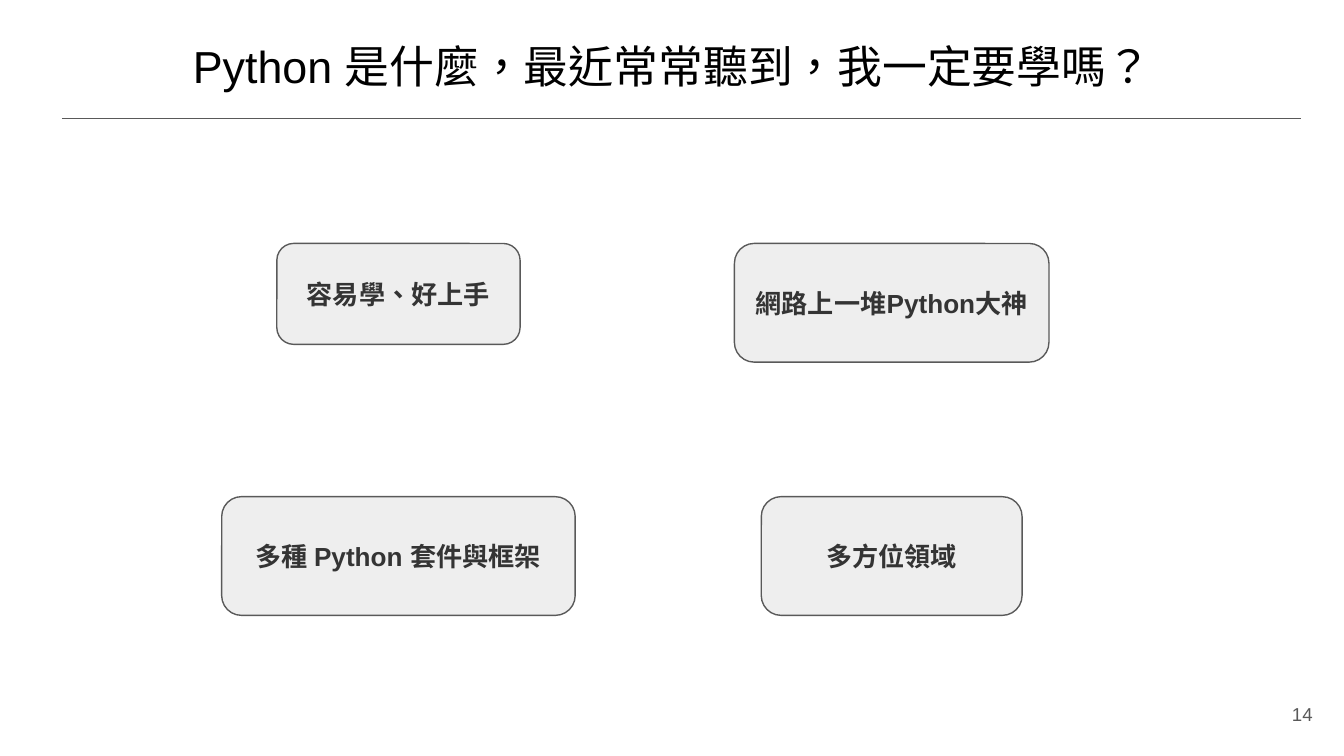
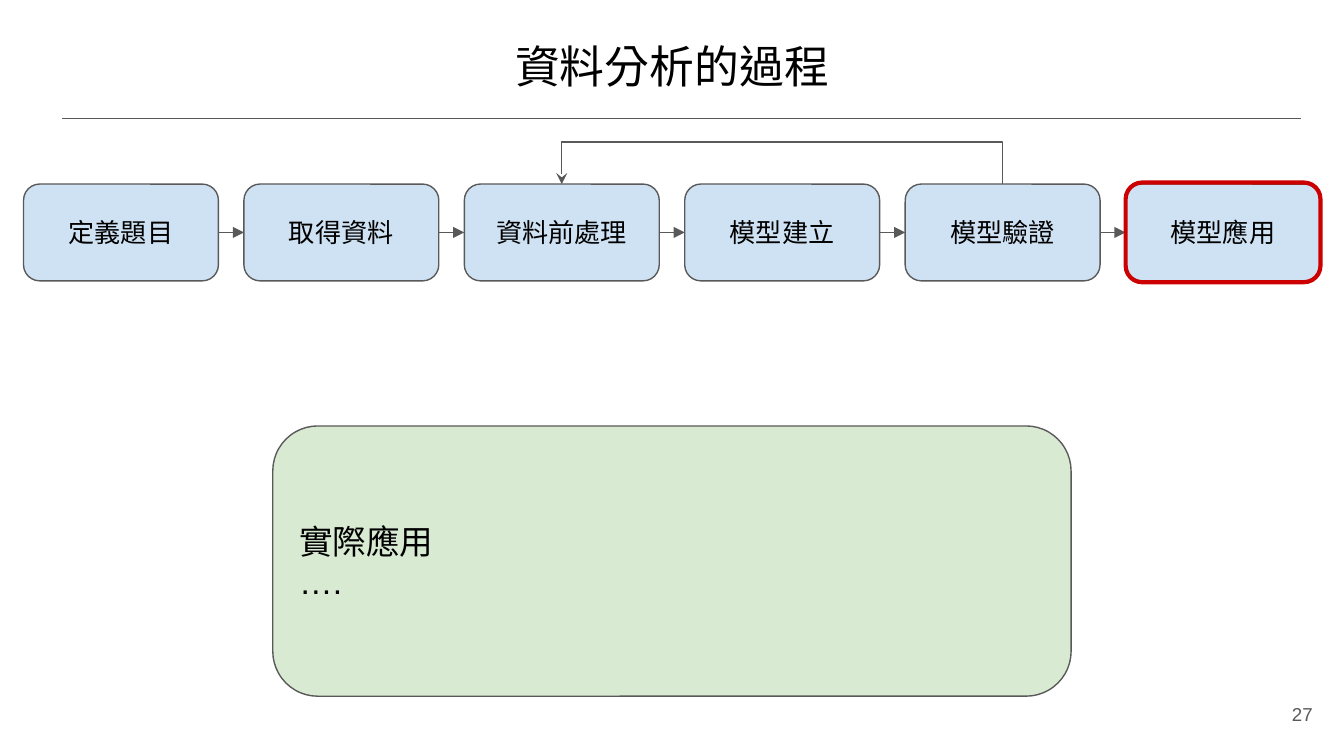
from lxml import etree
from pptx import Presentation
from pptx.dml.color import RGBColor
from pptx.enum.lang import MSO_LANGUAGE_ID as LANG
from pptx.enum.shapes import MSO_CONNECTOR as CONN, MSO_SHAPE as SHAPE
from pptx.enum.text import MSO_ANCHOR as ANCHOR, PP_ALIGN as ALIGN
from pptx.oxml.ns import qn
from pptx.util import Emu, Inches, Pt

C = {
    "ink": "000000",
    "bold": "343434",
    "line": "595959",
    "grey": "EEEEEE",
    "blue": "CFE2F3",
    "green": "D9EAD3",
    "red": "CC0000",
}

prs = Presentation()
prs.slide_width = Inches(10)
prs.slide_height = Emu(prs.slide_width * 9 // 16)
X, Y = prs.slide_width / 100, prs.slide_height / 100


def add_box(s, x, y, w, h, text="", size=14, color="ink", bold=False, align=ALIGN.CENTER,
            anchor=ANCHOR.MIDDLE, fill=None, line=None, weight=0.75):
    area = [Emu(round(v)) for v in (x * X, y * Y, w * X, h * Y)]
    if line:
        sp = s.shapes.add_shape(SHAPE.ROUNDED_RECTANGLE, *area)
        sp.shadow.inherit = False
        sp.line.color.rgb = RGBColor.from_string(C[line])
        sp.line.width = Pt(weight)
        if fill:
            sp.fill.solid()
            sp.fill.fore_color.rgb = RGBColor.from_string(C[fill])
        else:
            sp.fill.background()
    else:
        sp = s.shapes.add_textbox(*area)
    tf = sp.text_frame
    tf.word_wrap = True
    tf.vertical_anchor = anchor
    tf.margin_left = tf.margin_right = tf.margin_top = tf.margin_bottom = Inches(0.1)
    if text:
        tf.text = text
        for p in tf.paragraphs:
            p.alignment = align
            p.font.name = "Arial"
            p.font.size = Pt(size)
            p.font.bold = bold
            p.font.color.rgb = RGBColor.from_string(C[color])
            for r in p.runs:
                r.font.language_id = LANG.TRADITIONAL_CHINESE
    return sp


def add_line(s, x1, y1, x2, y2, head=None, kind=CONN.STRAIGHT):
    cn = s.shapes.add_connector(kind, *[Emu(round(v)) for v in (x1 * X, y1 * Y, x2 * X, y2 * Y)])
    cn.line.color.rgb = RGBColor.from_string(C["line"])
    cn.line.width = Pt(0.75)
    if head:
        etree.SubElement(cn.line._get_or_add_ln(), qn("a:tailEnd"), type=head)
    etree.SubElement(cn._element.spPr, qn("a:effectLst"))
    return cn


slides = []
for title, number in [("Python 是什麼，最近常常聽到，我一定要學嗎？", "14"), ("資料分析的過程", "27")]:
    s = prs.slides.add_slide(prs.slide_layouts[6])
    add_box(s, 3.4, 3.4, 93.2, 11.2, title, 24, anchor=ANCHOR.TOP)
    add_line(s, 4.6, 15.7, 96.8, 15.7)
    add_box(s, 92.65, 90.65, 6, 7.65, number, 10, "line", align=ALIGN.RIGHT)
    slides.append(s)
reasons, process = slides

left, right = 29.65, 66.35
upper, lower = 32.2, 65.7
for center, top, w, h, text in [
    (left, upper, 18.1, 13.35, "容易學、好上手"),
    (right, upper, 23.4, 15.7, "網路上一堆Python大神"),
    (left, lower, 26.3, 15.7, "多種 Python 套件與框架"),
    (right, lower, 19.4, 15.7, "多方位領域"),
]:
    add_box(reasons, center - w / 2, top, w, h, text, 14, "bold", True, fill="grey", line="line")

start, pitch, step_w, step_top, step_h = 1.75, 16.4, 14.5, 24.35, 12.8
names = ["定義題目", "取得資料", "資料前處理", "模型建立", "模型驗證", "模型應用"]
steps = [
    add_box(process, start + i * pitch, step_top, step_w, step_h, name, fill="blue", line="line")
    for i, name in enumerate(names)
]
middle = step_top + step_h / 2
for i, (a, b) in enumerate(zip(steps, steps[1:])):
    x = start + i * pitch
    cn = add_line(process, x + step_w, middle, x + pitch, middle, "triangle")
    cn.begin_connect(a, 3)
    cn.end_connect(b, 1)

span, rise, thin = 2 * pitch * X, 4.63 * Y, 600
center = start + 3 * pitch + step_w / 2
loop = add_line(process, center, step_top, center, step_top, "stealth", CONN.ELBOW)
loop.left, loop.top = Emu(round(center * X - thin / 2)), Emu(round(step_top * Y - span / 2))
loop.width, loop.height = Emu(thin), Emu(round(span))
loop._element.spPr.find(qn("a:xfrm")).set("rot", str(90 * 60000))
guides = loop._element.spPr.find(qn("a:prstGeom")).get_or_add_avLst()
etree.SubElement(guides, qn("a:gd"), name="adj1", fmla=f"val {-round(rise / thin * 100000)}")

add_box(process, 20.3, 56.35, 59.4, 35.75, "實際應用\n….", 18, align=ALIGN.LEFT, fill="green", line="line")
add_box(process, start + 5 * pitch, step_top - 0.2, step_w, step_h + 0.4, line="red", weight=2.25)

prs.save("out.pptx")
